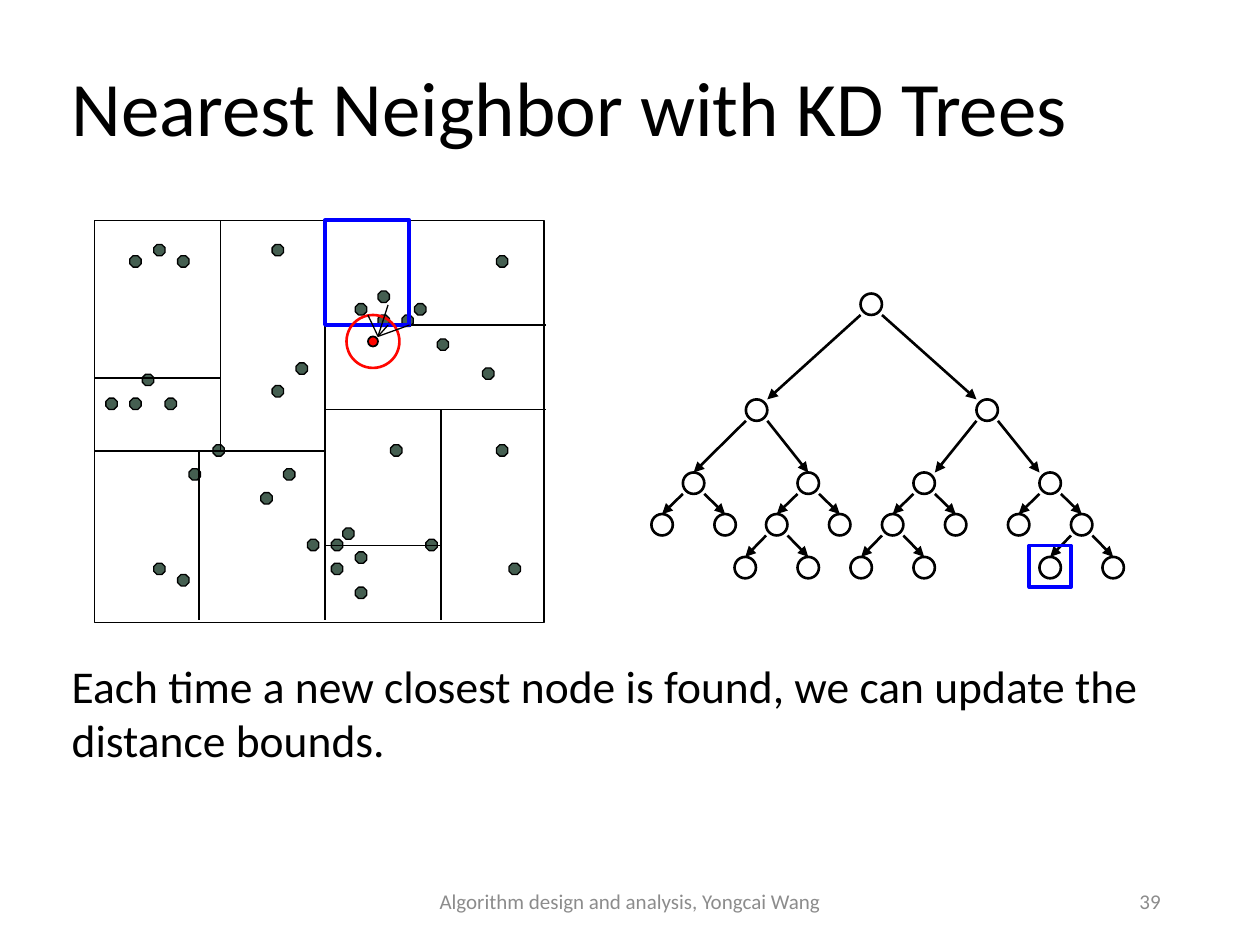
import pptx
import pptx.util
from pptx.dml.color import RGBColor
from pptx.enum.shapes import MSO_CONNECTOR, MSO_SHAPE
from pptx.enum.text import MSO_ANCHOR, PP_ALIGN
from pptx.oxml.ns import qn
from lxml import etree

Inches = pptx.util.Inches
Pt = pptx.util.Pt

BLACK = RGBColor(0x00, 0x00, 0x00)
GREEN = RGBColor(0x45, 0x5F, 0x51)
RED = RGBColor(0xFF, 0x06, 0x00)
BLUE = RGBColor(0x00, 0x00, 0xFF)
GRAY = RGBColor(0x8C, 0x8C, 0x8C)

TITLE = "Nearest Neighbor with KD Trees"
BODY = "Each time a new closest node is found, we can update the distance bounds."
FOOTER = "Algorithm design and analysis, Yongcai Wang"
PAGE = "39"

# Top-left corners of the data points
POINT_SIZE = 0.09
POINTS = [
    (1.13, 2.97), (1.31, 3.16), (1.03, 3.16), (2.82, 2.41), (0.84, 3.16),
    (2.72, 4.19), (2.63, 4.28), (3.47, 2.69), (3.00, 2.50), (2.44, 4.28),
    (2.63, 4.47), (2.82, 4.66), (2.82, 4.38), (3.94, 3.53), (2.16, 3.06),
    (2.25, 3.72), (3.10, 3.53), (1.41, 4.56), (1.50, 3.72), (3.00, 2.31),
    (3.19, 2.50), (3.29, 2.41), (3.38, 4.28), (1.22, 4.47), (1.69, 3.53),
    (2.35, 2.88), (2.07, 3.91), (1.41, 2.03), (1.22, 1.94), (1.03, 2.03),
    (2.16, 1.94), (3.94, 2.03), (4.04, 4.47), (3.83, 2.92),
]

# Splitting lines of the plane: x1, y1, x2, y2
SPLITS = [
    (2.58, 1.75, 2.58, 4.92), (2.58, 3.25, 4.33, 3.25),
    (3.50, 3.25, 3.50, 4.92), (2.58, 4.33, 3.50, 4.33),
    (0.75, 3.58, 2.58, 3.58), (1.75, 3.58, 1.75, 1.75),
    (2.58, 2.58, 4.33, 2.58), (3.25, 1.75, 3.25, 2.58),
    (1.58, 3.58, 1.58, 4.92), (0.75, 3.00, 1.75, 3.00),
]
QUERY_TIP = (3.00, 2.67)
COMPARED = [(2.92, 2.50), (3.08, 2.58), (3.08, 2.42), (3.25, 2.58)]

# Tree node: (left edge, where arrows meet the children, children)
NODE_SIZE = 0.17
LEVEL_TOPS = [2.33, 3.17, 3.75, 4.08, 4.42]


def leaf(x):
    return (x, None, [])


def split(x, *children, land="center"):
    return (x, land, children)


TREE = split(
    6.83,
    split(5.92,
          split(5.42, leaf(5.17), leaf(5.67)),
          split(6.33, split(6.08, leaf(5.83), leaf(6.33)), leaf(6.58))),
    split(7.75,
          split(7.25, split(7.00, leaf(6.75), leaf(7.25)), leaf(7.50)),
          split(8.25, leaf(8.00), split(8.50, leaf(8.25), leaf(8.75))),
          land="inner"),
    land="inner")

prs = pptx.Presentation()
prs.slide_width, prs.slide_height = Inches(10), Inches(7.5)
s = prs.slides.add_slide(prs.slide_layouts[6])


def add_outline(kind, x, y, w, h, color, width, fill=None):
    sp = s.shapes.add_shape(kind, Inches(x), Inches(y), Inches(w), Inches(h))
    sp.shadow.inherit = False
    if fill is None:
        sp.fill.background()
    else:
        sp.fill.solid()
        sp.fill.fore_color.rgb = fill
    sp.line.color.rgb = color
    sp.line.width = Pt(width)
    return sp


def add_line(x1, y1, x2, y2, width, arrow=False):
    cx = s.shapes.add_connector(MSO_CONNECTOR.STRAIGHT, Inches(x1), Inches(y1),
                                Inches(x2), Inches(y2))
    cx.line.color.rgb = BLACK
    cx.line.width = Pt(width)
    if arrow:
        etree.SubElement(cx.line._get_or_add_ln(), qn("a:tailEnd"), type="triangle")
    etree.SubElement(cx._element.spPr, qn("a:effectLst"))


def add_text(text, x, y, w, h, size, color=BLACK, align=PP_ALIGN.LEFT,
             anchor=MSO_ANCHOR.MIDDLE, spacing=None):
    tf = s.shapes.add_textbox(Inches(x), Inches(y), Inches(w), Inches(h)).text_frame
    tf.word_wrap = True
    tf.vertical_anchor = anchor
    tf.text = text
    p = tf.paragraphs[0]
    p.alignment = align
    p.line_spacing = spacing
    font = p.runs[0].font
    font.name, font.size, font.color.rgb = "Calibri", Pt(size), color


def add_tree(node, level=0):
    x, land, children = node
    top = LEVEL_TOPS[level]
    add_outline(MSO_SHAPE.OVAL, x, top, NODE_SIZE, NODE_SIZE, BLACK, 1.5)
    for side, child in enumerate(children):
        # Arrows leave a lower corner; an inner landing is the edge facing the parent
        offset = NODE_SIZE / 2 if land == "center" else NODE_SIZE * (1 - side)
        add_line(x + NODE_SIZE * side, top + NODE_SIZE,
                 child[0] + offset, LEVEL_TOPS[level + 1], 1.5, arrow=True)
        add_tree(child, level + 1)


# Partitioned plane
for x, y in POINTS:
    sp = add_outline(MSO_SHAPE.OCTAGON, x, y, POINT_SIZE, POINT_SIZE, BLACK, 0.75, GREEN)
    sp.adjustments[0] = 0.29
add_outline(MSO_SHAPE.RECTANGLE, 0.75, 1.75, 3.57, 3.19, BLACK, 1)
for ends in SPLITS:
    add_line(*ends, 1)

add_tree(TREE)

# Query point, its distance bound, and the cell and leaf being visited
add_outline(MSO_SHAPE.OVAL, 2.92, 2.67, 0.08, 0.08, BLACK, 1, RED)
add_outline(MSO_SHAPE.RECTANGLE, 2.58, 1.75, 0.67, 0.83, BLUE, 2.25)
add_outline(MSO_SHAPE.RECTANGLE, 8.17, 4.33, 0.33, 0.33, BLUE, 2.25)
add_outline(MSO_SHAPE.OVAL, 2.75, 2.5, 0.42, 0.42, RED, 1.5)
for end in COMPARED:
    add_line(*QUERY_TIP, *end, 0.75)

add_text(TITLE, 0.47, 0.26, 9.28, 1.25, 44, spacing=0.9)
add_text(BODY, 0.47, 5.17, 9.28, 0.98, 26, anchor=MSO_ANCHOR.TOP)
add_text(FOOTER, 3.31, 6.95, 3.38, 0.4, 12, GRAY, PP_ALIGN.CENTER)
add_text(PAGE, 7.06, 6.95, 2.25, 0.4, 12, GRAY, PP_ALIGN.RIGHT)

prs.save("out.pptx")
